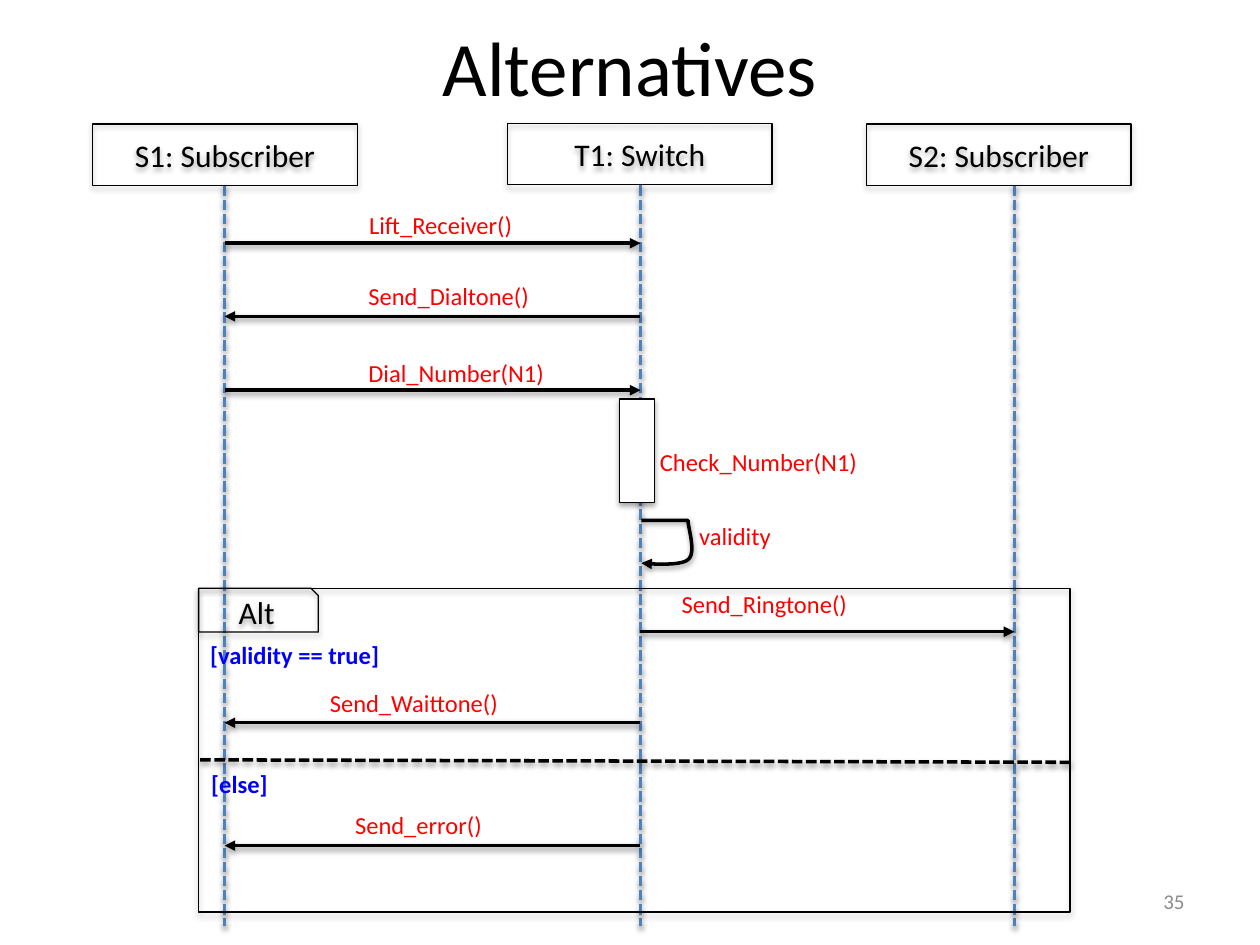
"""Build a UML sequence diagram slide with an alternatives fragment."""
from lxml import etree
from pptx import Presentation
from pptx.dml.color import RGBColor
from pptx.enum.dml import MSO_LINE
from pptx.enum.shapes import MSO_CONNECTOR, MSO_SHAPE
from pptx.enum.text import MSO_ANCHOR, MSO_AUTO_SIZE, PP_ALIGN
from pptx.oxml import parse_xml
from pptx.oxml.ns import qn
from pptx.util import Pt

STRAIGHT = MSO_CONNECTOR.STRAIGHT
RECTANGLE, SNIPPED = MSO_SHAPE.RECTANGLE, MSO_SHAPE.SNIP_1_RECTANGLE
DASH = MSO_LINE.SQUARE_DOT
LEFT, CENTER, RIGHT = PP_ALIGN.LEFT, PP_ALIGN.CENTER, PP_ALIGN.RIGHT
TOP, MIDDLE = MSO_ANCHOR.TOP, MSO_ANCHOR.MIDDLE
FIT = MSO_AUTO_SIZE.SHAPE_TO_FIT_TEXT
COLORS = {"black": "000000", "white": "FFFFFF", "lifeline": "4F81BD",
          "message": "FF0000", "guard": "0000FF", "number": "8C8C8C"}
SHADOW = ('<a:effectLst xmlns:a="http://schemas.openxmlformats.org/drawingml/2006/main">'
          '<a:outerShdw blurRad="40000" dist="{}" dir="5400000" rotWithShape="0">'
          '<a:srgbClr val="000000"><a:alpha val="{}"/></a:srgbClr>'
          '</a:outerShdw></a:effectLst>')


def write(frame, text, size=14, color="message", bold=False, align=LEFT,
          anchor=TOP, wrap=False):
    frame.word_wrap = wrap
    if not wrap:
        frame.auto_size = FIT
    frame.vertical_anchor = anchor
    paragraph = frame.paragraphs[0]
    paragraph.alignment = align
    run = paragraph.add_run()
    run.text = text
    run.font.name = "Calibri"
    run.font.size = Pt(size)
    run.font.bold = bold
    run.font.color.rgb = RGBColor.from_string(COLORS[color])


def outline(shape, color="black", width=2, dash=None, arrow=False, shadow=(20000, 38000)):
    shape.line.color.rgb = RGBColor.from_string(COLORS[color])
    shape.line.width = Pt(width)
    if dash:
        shape.line.dash_style = dash
    properties = shape._element.spPr
    if arrow:
        etree.SubElement(properties.find(qn("a:ln")), qn("a:tailEnd"), type="triangle")
    properties.append(parse_xml(SHADOW.format(*shadow)))


prs = Presentation()
prs.slide_width, prs.slide_height = Pt(720), Pt(540)
shapes = prs.slides.add_slide(prs.slide_layouts[6]).shapes

title = shapes.add_textbox(Pt(204), Pt(-7.2), Pt(312), Pt(90))
write(title.text_frame, "Alternatives", size=44, color="black", align=CENTER,
      anchor=MIDDLE, wrap=True)
number = shapes.add_textbox(Pt(516), Pt(500.4), Pt(168), Pt(28.8))
write(number.text_frame, "35", size=12, color="number", align=RIGHT,
      anchor=MIDDLE, wrap=True)

CALLER, SWITCH, CALLEE = 128.4, 366, 579.6
lines = [(x, 106, x, 529.2, {"color": "lifeline", "dash": DASH})
         for x in (CALLER, SWITCH, CALLEE)]
lines += [(start, y, end, y, {"arrow": True}) for start, y, end in [
    (CALLER, 139, SWITCH), (SWITCH, 180.8, CALLER), (CALLER, 223, SWITCH),
    (SWITCH, 361, CALLEE), (SWITCH, 413, CALLER), (SWITCH, 483.2, CALLER)]]
lines.append((611.5, 435.6, 113.5, 434.2, {"dash": DASH}))
for x1, y1, x2, y2, style in lines:
    line = shapes.add_connector(STRAIGHT, Pt(x1), Pt(y1), Pt(x2), Pt(y2))
    outline(line, **style)

boxes = [
    ("S1: Subscriber", RECTANGLE, 53, 70.8, 151.2, 35.2),
    ("T1: Switch", RECTANGLE, 290, 70.4, 151.2, 35.2),
    ("S2: Subscriber", RECTANGLE, 495.2, 70.8, 151.2, 35.2),
    ("", RECTANGLE, 354, 228, 20.2, 59),
    ("", RECTANGLE, 113.5, 336.2, 498, 185),
    ("Alt", SNIPPED, 113.5, 336.2, 68.4, 25),
]
for text, kind, *place in boxes:
    box = shapes.add_shape(kind, *map(Pt, place))
    box.fill.background()
    outline(box, width=0.75, shadow=(23000, 35000))
    if text:
        write(box.text_frame, text, size=18, color="black", align=CENTER,
              anchor=MIDDLE, wrap=True)
    elif place[0] == 354:
        box.fill.solid()
        box.fill.fore_color.rgb = RGBColor.from_string(COLORS["white"])

curves = [[(393.2, 297.4), (393.2, 301.7), (398.2, 316), (393.2, 319.8)],
          [(393.2, 319.8), (388.8, 324), (366.5, 321.8), (366.5, 321.8)]]
STEPS = 12
bend = []
for curve in curves:
    for step in range(1, STEPS + 1):
        t = step / STEPS
        weights = ((1 - t) ** 3, 3 * t * (1 - t) ** 2, 3 * t ** 2 * (1 - t), t ** 3)
        bend.append(tuple(Pt(sum(w * v for w, v in zip(weights, axis)))
                          for axis in zip(*curve)))
builder = shapes.build_freeform(Pt(366.5), Pt(297.4))
builder.add_line_segments([(Pt(393.2), Pt(297.4))] + bend, close=False)
self_call = builder.convert_to_shape()
self_call.fill.background()
outline(self_call, arrow=True)

labels = [
    ("Lift_Receiver()", 203.8, 116.6, 97.2), ("Send_Dialtone()", 203.4, 157.2, 107.3),
    ("Dial_Number(N1)", 203.4, 201, 116), ("Check_Number(N1)", 370, 252, 128.2),
    ("validity", 392.4, 294.4, 56.2), ("Send_Ringtone()", 382.4, 332.8, 110.2),
    ("Send_Waittone()", 181.4, 389.4, 112.3), ("Send_error()", 195.8, 459.6, 87.8),
]
guards = [("[validity == true]", 113, 362.4, 112.3), ("[else]", 113.6, 435.8, 46.8)]
for group, style in ((labels, {}), (guards, {"color": "guard", "bold": True})):
    for text, left, top, width in group:
        label = shapes.add_textbox(Pt(left), Pt(top), Pt(width), Pt(24.2))
        write(label.text_frame, text, **style)

prs.save("out.pptx")
